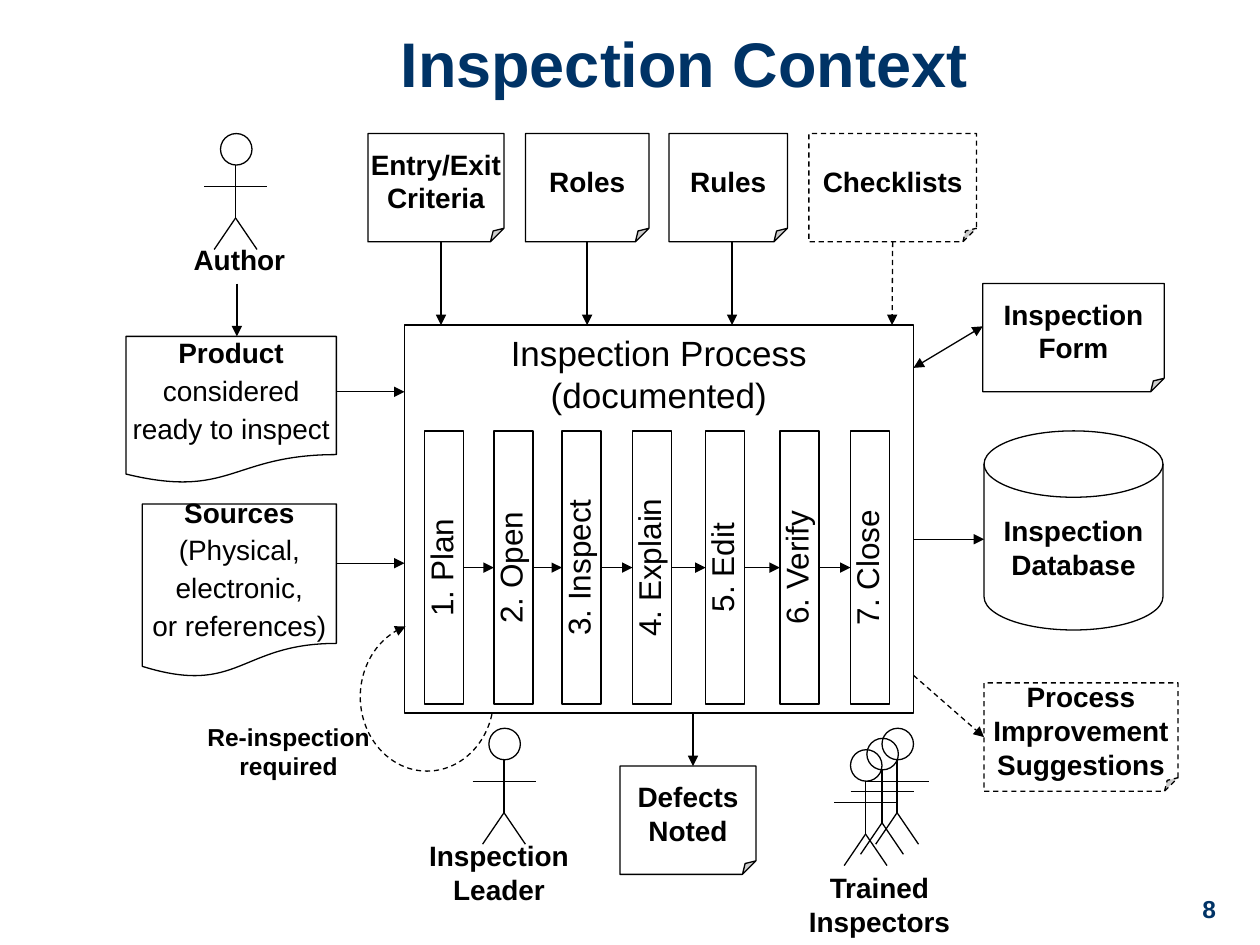
import pptx
import pptx.util
import pptx.dml.color
import pptx.enum.dml
import pptx.enum.shapes
import pptx.enum.text
import pptx.oxml
import pptx.oxml.ns
import pptx.oxml.xmlchemy

PX = 9144
COLORS = {"ink": "000000", "navy": "003366", "paper": "FFFFFF"}
KIND = pptx.enum.shapes.MSO_SHAPE
ALIGN = pptx.enum.text.PP_ALIGN
ANCHOR = pptx.enum.text.MSO_ANCHOR


def px(*values):
    return [value * PX for value in values]


def tint(name):
    return pptx.dml.color.RGBColor.from_string(COLORS[name])


def node(tag, **traits):
    item = pptx.oxml.xmlchemy.OxmlElement(tag)
    for key, value in traits.items():
        item.set(key, value)
    return item


def adjust(shape, **guides):
    slots = next(shape._element.iter(pptx.oxml.ns.qn("a:prstGeom"))).get_or_add_avLst()
    for old in list(slots):
        slots.remove(old)
    for name, value in guides.items():
        slots.append(node("a:gd", name=name, fmla=f"val {value}"))


def write(shape, text, size=16, bold=True, lead=False, color="ink", align=ALIGN.CENTER,
          anchor=ANCHOR.MIDDLE, wrap=False, pitch=None, before=0, inset=(10, 5), turn=None):
    frame = shape.text_frame
    frame.word_wrap = wrap
    frame.vertical_anchor = anchor
    frame.margin_left = frame.margin_right = inset[0] * PX
    frame.margin_top = frame.margin_bottom = inset[1] * PX
    if turn:
        frame._txBody.bodyPr.set("vert", turn)
    for row, words in enumerate(text.split("\n")):
        para = frame.paragraphs[0] if row == 0 else frame.add_paragraph()
        para.alignment = align
        if pitch:
            para.line_spacing = pitch
        if row and before:
            para.space_before = pptx.util.Pt(before)
        run = para.add_run()
        run.text = words
        run.font.name = "Arial"
        run.font.size = pptx.util.Pt(size)
        run.font.bold = bold or (lead and row == 0)
        run.font.color.rgb = tint(color)


class Chart:
    def __init__(self, slide):
        self.slide = slide
        self.shapes = slide.shapes

    def stroke(self, shape, width=0.75, dash=False, head=False, tail=False):
        line = shape.line
        line.color.rgb = tint("ink")
        line.width = pptx.util.Pt(width)
        if dash:
            line.dash_style = pptx.enum.dml.MSO_LINE.DASH
        for tag, shown in (("a:headEnd", head), ("a:tailEnd", tail)):
            if shown:
                line._get_or_add_ln().append(node(tag, type="triangle"))

    def box(self, kind, x, y, w, h, text="", fill=None, width=0.75, dash=False,
            tail=False, **style):
        shape = self.shapes.add_shape(kind, *px(x, y, w, h))
        shape.shadow.inherit = False
        if fill:
            shape.fill.solid()
            shape.fill.fore_color.rgb = tint(fill)
        else:
            shape.fill.background()
        self.stroke(shape, width, dash, tail=tail)
        if text:
            write(shape, text, **style)
        return shape

    def note(self, x, y, w, text, dash=False):
        shape = self.box(KIND.FOLDED_CORNER, x, y, w, 86, text, fill="paper", dash=dash)
        adjust(shape, adj=12500)
        return shape

    def label(self, x, y, w, h, text, anchor=ANCHOR.TOP, **style):
        shape = self.shapes.add_textbox(*px(x, y, w, h))
        write(shape, text, anchor=anchor, wrap=True, **style)

    def link(self, start, stop, dash=False, head=False, tail=True, source=None, target=None):
        line = self.shapes.add_connector(
            pptx.enum.shapes.MSO_CONNECTOR.STRAIGHT, *px(*start, *stop))
        self.stroke(line, dash=dash, head=head, tail=tail)
        line._element.spPr.append(node("a:effectLst"))
        if source:
            line.begin_connect(*source)
        if target:
            line.end_connect(*target)

    def actor(self, spots, text, area):
        self.shapes = self.slide.shapes.add_group_shape().shapes
        for x, y in spots:
            self.box(KIND.OVAL, x - 12, y, 25, 25)
            hip = (x, y + 67)
            self.link((x, y + 25), hip, tail=False)
            for side in (-17, 17):
                self.link(hip, (x + side, y + 92), tail=False)
            self.link((x - 25, y + 42), (x + 25, y + 42), tail=False)
        self.label(*area, text)
        self.shapes = self.slide.shapes


def main():
    deck = pptx.Presentation()
    deck.slide_width, deck.slide_height = px(1000, 750)
    chart = Chart(deck.slides.add_slide(deck.slide_layouts[6]))

    chart.label(118, 8, 850, 83, "Inspection Context", size=36, color="navy",
                anchor=ANCHOR.MIDDLE)
    chart.box(KIND.RECTANGLE, 321, 258, 404, 308, "Inspection Process\n(documented)",
              width=1, size=20, bold=False, anchor=ANCHOR.TOP, wrap=True)

    chart.actor([(187, 106)], "Author", (138, 188, 104, 37))
    chart.actor([(687, 595), (700, 586), (712, 578)], "Trained Inspectors",
                (621, 686, 154, 64))
    chart.actor([(400, 578)], "Inspection Leader", (317, 661, 158, 64))

    papers = [
        (100, 267, 167, 117, "Product\nconsidered\nready to inspect"),
        (113, 400, 154, 138, "Sources\n(Physical,\nelectronic,\nor references)"),
    ]
    for paper in papers:
        chart.box(KIND.FLOWCHART_DOCUMENT, *paper, bold=False, lead=True,
                  pitch=0.6, before=10)

    steps = [(337, "Plan"), (392, "Open"), (446, "Inspect"), (502, "Explain"),
             (560, "Edit"), (619, "Verify"), (675, "Close")]
    last = None
    for rank, (x, name) in enumerate(steps, 1):
        step = chart.box(KIND.RECTANGLE, x, 342, 31, 217, f"{rank}. {name}", width=1, size=18,
                         bold=False, wrap=True, pitch=0.8, inset=(5, 10), turn="vert270")
        if last:
            chart.link((x - 24, 450), (x, 450), source=(last, 3), target=(step, 1))
        last = step

    chart.note(292, 106, 108, "Entry/Exit\nCriteria")
    roles = chart.note(417, 106, 98, "Roles")
    chart.note(531, 106, 94, "Rules")
    checks = chart.note(642, 106, 133, "Checklists", dash=True)
    chart.note(780, 225, 144, "Inspection\nForm")
    ideas = chart.note(781, 542, 154, "Process\nImprovement\nSuggestions", dash=True)
    chart.note(492, 608, 108, "Defects\nNoted")
    chart.box(KIND.FLOWCHART_MAGNETIC_DISK, 781, 342, 142, 158, "Inspection\nDatabase",
              fill="paper")

    for start, stop in [((267, 311), (321, 311)), ((267, 447), (321, 447)),
                        ((188, 225), (188, 267)), ((350, 192), (350, 258)),
                        ((581, 192), (581, 258)), ((725, 428), (781, 428)),
                        ((550, 566), (550, 608))]:
        chart.link(start, stop)
    chart.link((466, 192), (466, 258), source=(roles, 2))
    chart.link((708, 192), (708, 258), dash=True, source=(checks, 2))
    chart.link((725, 536), (781, 585), dash=True, target=(ideas, 1))
    chart.link((725, 292), (780, 259), head=True)

    loop = chart.box(KIND.ARC, 286, 494, 106, 118, dash=True, tail=True)
    adjust(loop, adj1=15 * 60000, adj2=253 * 60000)
    chart.label(150, 568, 158, 57, "Re-inspection required", size=14)
    chart.label(908, 705, 67, 33, "8", size=14, color="navy", align=ALIGN.RIGHT)

    deck.save("out.pptx")


if __name__ == "__main__":
    main()
